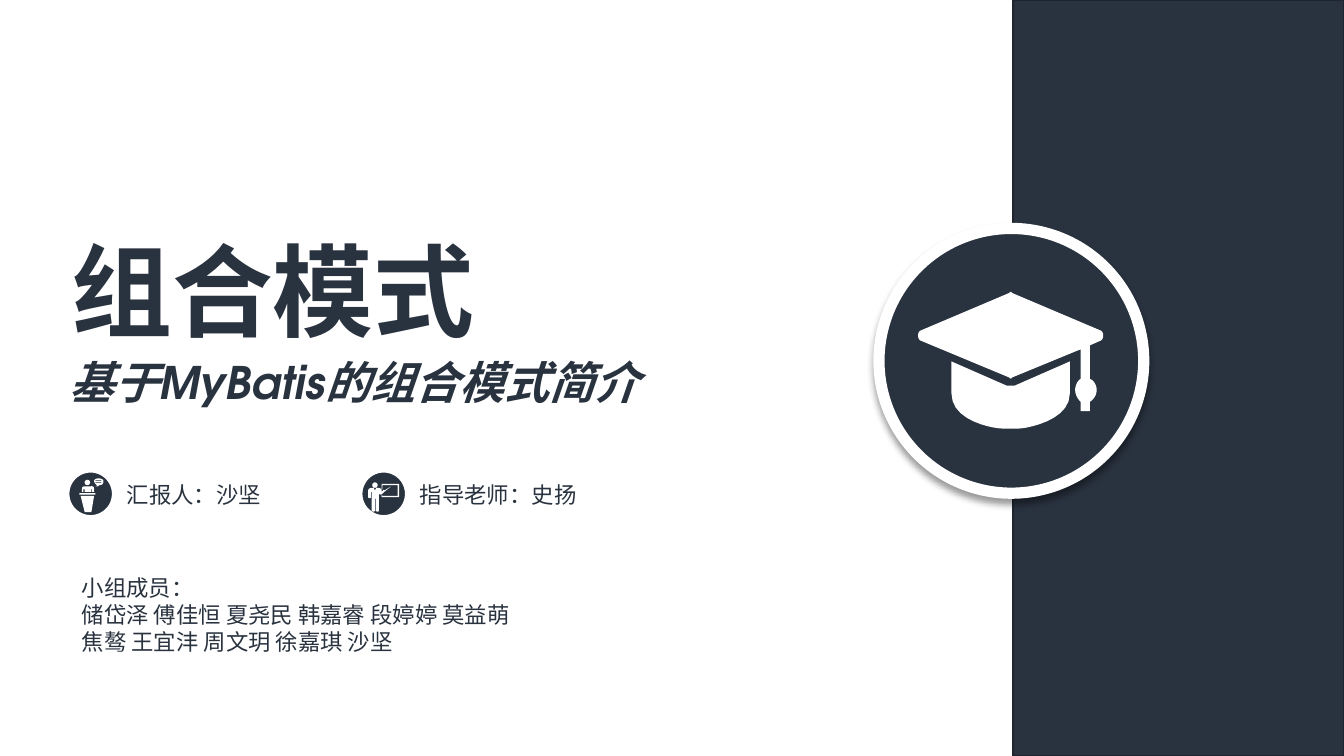
import math

import pptx
import pptx.dml.color
import pptx.enum.lang
import pptx.enum.shapes
import pptx.enum.text
import pptx.oxml
import pptx.oxml.ns
import pptx.util

EMU_PER_PX = 4572
NAVY = "29323F"
WHITE = "FFFFFF"
EDGE = "1E252F"

FRAME_FORMAT = {
    "auto_size": pptx.enum.text.MSO_AUTO_SIZE.NONE,
    "vertical_anchor": pptx.enum.text.MSO_ANCHOR.MIDDLE,
    "margin_left": pptx.util.Inches(0.1),
    "margin_right": pptx.util.Inches(0.1),
    "margin_top": pptx.util.Inches(0.05),
    "margin_bottom": pptx.util.Inches(0.05),
}
PARAGRAPH_FORMAT = {
    "alignment": pptx.enum.text.PP_ALIGN.LEFT,
    "space_before": pptx.util.Pt(0),
    "space_after": pptx.util.Pt(0),
    "line_spacing": 1.0,
}
TITLE_FONT = {"name": "Noto Sans CJK SC", "size": pptx.util.Pt(54), "bold": True}
SUBTITLE_FONT = {
    "name": "TeX Gyre Adventor", "size": pptx.util.Pt(24), "bold": True, "italic": True,
}
BODY_FONT = {"name": "Calibri", "size": pptx.util.Pt(12)}
MEMBERS = [
    "小组成员：",
    "储岱泽 傅佳恒 夏尧民 韩嘉睿 段婷婷 莫益萌",
    "焦骜 王宜沣 周文玥 徐嘉琪 沙坚",
]


def px(length):
    """Turn a length in px into EMU."""
    return pptx.util.Emu(round(length * EMU_PER_PX))


def color(hex_string):
    """Turn a hex string into a colour."""
    return pptx.dml.color.RGBColor.from_string(hex_string)


def apply_format(target, values):
    """Set each attribute named in a dict of format values."""
    for name, value in values.items():
        setattr(target, name, value)


def place(shape, box):
    """Move and size a shape to a box in px."""
    apply_format(shape, dict(zip(("left", "top", "width", "height"), map(px, box))))


def write_text(shape, box, lines, font_format, wrap=True):
    """Place a text shape and fill it with formatted lines."""
    place(shape, box)
    frame = shape.text_frame
    apply_format(frame, {**FRAME_FORMAT, "word_wrap": wrap})
    frame.text = "\n".join(lines)
    for paragraph in frame.paragraphs:
        apply_format(paragraph, PARAGRAPH_FORMAT)
        for run in paragraph.runs:
            apply_format(run.font, font_format)
            run.font.language_id = pptx.enum.lang.MSO_LANGUAGE_ID.SIMPLIFIED_CHINESE
            run.font.color.rgb = color(NAVY)
            latin = run.font._element.find(pptx.oxml.ns.qn("a:latin"))
            latin.addnext(pptx.oxml.parse_xml(
                f'<a:ea {pptx.oxml.ns.nsdecls("a")} typeface="{font_format["name"]}"/>'
            ))


def add_text(slide, box, lines, font_format):
    """Add a text box with formatted lines."""
    write_text(slide.shapes.add_textbox(0, 0, 0, 0), box, lines, font_format)


def add_panel(slide, kind, box, line_color, line_width):
    """Add a navy preset shape with an outline."""
    shape = slide.shapes.add_shape(kind, *map(px, box))
    shape.shadow.inherit = False
    shape.fill.solid()
    shape.fill.fore_color.rgb = color(NAVY)
    shape.line.color.rgb = color(line_color)
    shape.line.width = pptx.util.Pt(line_width)
    return shape


def add_drop_shadow(shape):
    """Give a shape a soft shadow straight below it."""
    effects = shape._element.spPr.find(pptx.oxml.ns.qn("a:effectLst"))
    effects.append(pptx.oxml.parse_xml(
        f'<a:outerShdw {pptx.oxml.ns.nsdecls("a")} blurRad="50800" dist="38100" '
        'dir="5400000" algn="t" rotWithShape="0">'
        '<a:srgbClr val="000000"><a:alpha val="40000"/></a:srgbClr></a:outerShdw>'
    ))


def flatten(outline, steps=10):
    """Turn points and cubic curves into a plain list of points."""
    points = []
    for part in outline:
        if len(part) == 2:
            points.append(part)
            continue
        controls = [points[-1], part[:2], part[2:4], part[4:]]
        for step in range(1, steps + 1):
            t = step / steps
            weights = ((1 - t) ** 3, 3 * t * (1 - t) ** 2, 3 * t * t * (1 - t), t ** 3)
            points.append(tuple(
                sum(weight * control[axis] for weight, control in zip(weights, controls))
                for axis in (0, 1)
            ))
    return points


def oval(x, y, radius_x, radius_y, count=24):
    """Return the points of an oval around a centre."""
    angles = [2 * math.pi * index / count for index in range(count)]
    return [(x + radius_x * math.cos(a), y + radius_y * math.sin(a)) for a in angles]


def bar(left, top, right, bottom):
    """Return the corners of a rectangle."""
    return [(left, top), (right, top), (right, bottom), (left, bottom)]


def add_icon(slide, outlines):
    """Add one white freeform made of closed outlines."""
    builder = None
    for outline in outlines:
        start, *rest = [(px(x), px(y)) for x, y in flatten(outline)]
        if builder is None:
            builder = slide.shapes.build_freeform(*start, scale=1.0)
        else:
            builder.move_to(*start)
        builder.add_line_segments(rest, close=True)
    shape = builder.convert_to_shape()
    shape.shadow.inherit = False
    shape.fill.solid()
    shape.fill.fore_color.rgb = color(WHITE)
    shape.line.fill.background()


def speaker_outlines():
    """Return a speaker with a speech bubble behind a lectern."""
    body = [(122, 732), (122, 728), (122, 724, 124, 724, 126, 724), (134, 724),
            (138, 723, 140, 724, 140, 728), (140, 732), (137, 732), (137, 728),
            (136, 728), (136, 732), (126, 732), (126, 728), (124, 728), (124, 732)]
    bubble = [(154, 716), (154, 720, 152, 722, 148, 722), (146, 724, 144, 724, 142, 724),
              (144, 723), (144, 722), (142, 720, 140, 718, 140, 716),
              (140, 714, 142, 712, 147, 712), (151, 712, 154, 714, 154, 716)]
    lectern = [(120, 738), (140, 738), (136, 762), (126, 762)]
    return [body, oval(130, 718, 4, 4), lectern, bubble, bar(142, 715, 151, 716),
            bar(142, 718, 151, 719), bar(118, 734, 142, 736)]


def teacher_outlines():
    """Return a teacher pointing at a board."""
    board = [(568, 720), (594, 720), (594, 740), (568, 740), (568, 736), (569, 738),
             (592, 738), (592, 722), (569, 722), (569, 728), (568, 728)]
    body = [(572, 732), (582, 724), (572, 730), (571, 729), (568, 732), (568, 730),
            (568, 726, 562, 726, 562, 726), (560, 726), (558, 730), (556, 726),
            (554, 726), (548, 726, 548, 730, 548, 730), (548, 740),
            (548, 742, 552, 742, 552, 740), (552, 732), (553, 732), (553, 760),
            (554, 762, 558, 762, 558, 760), (558, 742), (559, 742), (559, 760),
            (560, 762, 564, 762, 564, 760), (564, 732), (564, 734),
            (564, 736, 566, 736, 567, 736), (570, 734)]
    return [board, body, oval(558, 722, 4, 4)]


def cap_outlines():
    """Return a graduation cap with its tassel."""
    board = [(1638, 492), (1506, 436), (1505, 434, 1503, 434, 1502, 436), (1370, 492),
             (1365, 494, 1365, 505, 1370, 507), (1502, 562), (1503, 564, 1505, 564, 1506, 562),
             (1608, 520), (1608, 564), (1604, 566, 1600, 574, 1600, 580),
             (1600, 588, 1604, 594, 1608, 598), (1608, 612), (1622, 612), (1622, 598),
             (1628, 594, 1632, 588, 1632, 580), (1632, 574, 1628, 566, 1622, 564),
             (1622, 514), (1638, 507), (1643, 505, 1643, 494, 1638, 492)]
    crown = [(1504, 574), (1502, 574, 1500, 574, 1498, 574), (1416, 538), (1416, 586),
             (1416, 626, 1476, 638, 1494, 638), (1514, 638),
             (1528, 638, 1592, 626, 1592, 586), (1592, 538), (1510, 574)]
    return [board, crown]


def main():
    """Build the title slide and save it."""
    presentation = pptx.Presentation()
    apply_format(presentation, {"slide_width": px(2000), "slide_height": px(1125)})
    slide = presentation.slides.add_slide(presentation.slide_layouts[0])
    title, subtitle = slide.placeholders
    ellipse = pptx.enum.shapes.MSO_SHAPE.OVAL

    write_text(subtitle, (84, 518, 1154, 100), ["基于MyBatis的组合模式简介"], SUBTITLE_FONT)
    people = [(102, "汇报人：沙坚", speaker_outlines()), (538, "指导老师：史扬", teacher_outlines())]
    for left, label, outlines in people:
        add_text(slide, (left + 67, 706, 354, 60), [label], BODY_FONT)
        add_panel(slide, ellipse, (left, 702, 66, 66), WHITE, 1)
        add_icon(slide, outlines)

    add_panel(slide, pptx.enum.shapes.MSO_SHAPE.RECTANGLE, (1507, 0, 493, 1125), EDGE, 1)
    add_drop_shadow(add_panel(slide, ellipse, (1308, 340, 394, 394), WHITE, 6))
    write_text(title, (86, 330, 642, 202), ["组合模式"], TITLE_FONT, wrap=False)
    add_icon(slide, cap_outlines())
    add_text(slide, (102, 844, 692, 142), MEMBERS, BODY_FONT)
    presentation.save("out.pptx")


if __name__ == "__main__":
    main()
